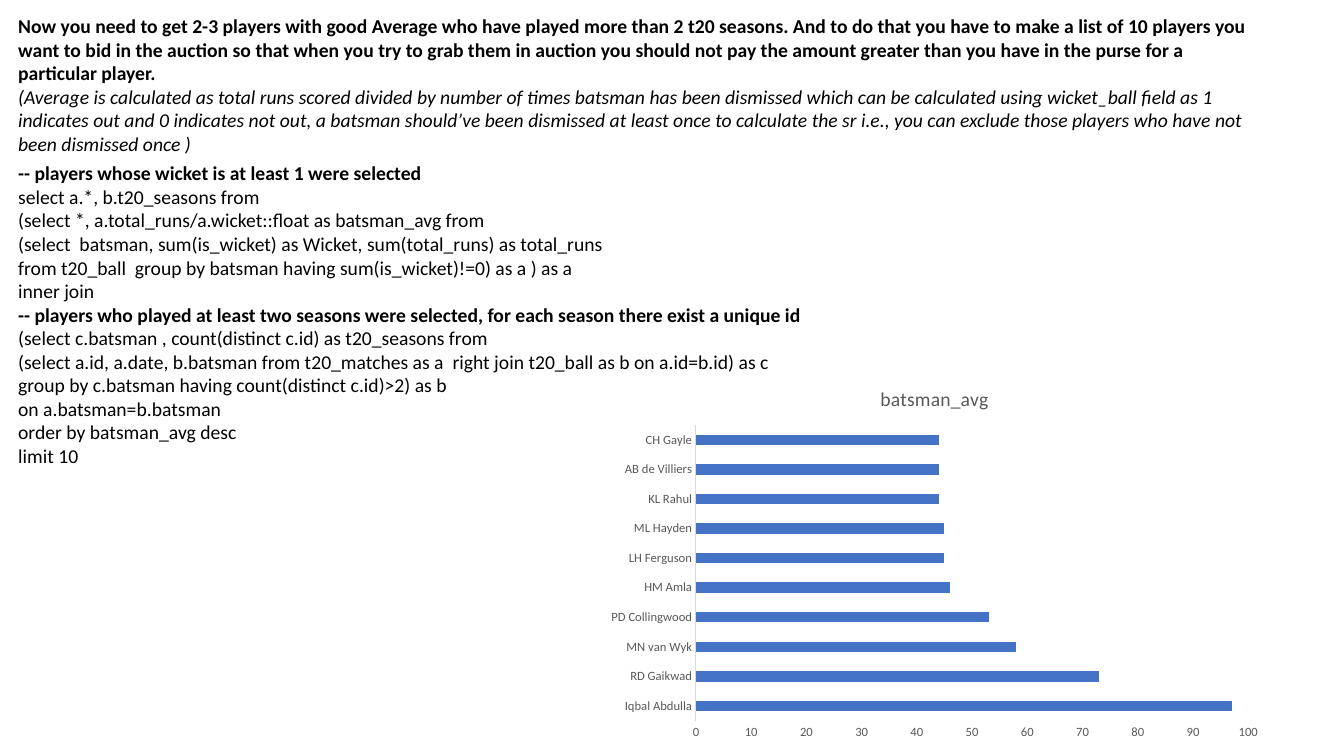
from dataclasses import dataclass

from lxml import etree
from pptx import Presentation
from pptx import util as u
from pptx.chart.data import CategoryChartData
from pptx.dml.color import RGBColor
from pptx.enum import chart as ch
from pptx.enum import text as t
from pptx.oxml.ns import qn


@dataclass(frozen=True)
class Theme:
    font: str = "Calibri"
    ink: RGBColor = RGBColor(0, 0, 0)
    label: RGBColor = RGBColor(0x59, 0x59, 0x59)
    rule: RGBColor = RGBColor(0xD9, 0xD9, 0xD9)
    bar: RGBColor = RGBColor(0x44, 0x72, 0xC4)
    text_size: int = 14
    axis_size: int = 9
    chart_size: int = 10


THEME = Theme()

TASK = [
    ("Now you need to get 2-3 players with good Average who have played more than "
     "2 t20 seasons. And to do that you have to make a list of 10 players you want "
     "to bid in the auction so that when you try to grab them in auction you should "
     "not pay the amount greater than you have in the purse for a particular player.",
     {"bold": True}),
    ("(Average is calculated as total runs scored divided by number of times batsman "
     "has been dismissed which can be calculated using wicket_ball field as 1 "
     "indicates out and 0 indicates not out, a batsman should’ve been dismissed at "
     "least once to calculate the sr i.e., you can exclude those players who have "
     "not been dismissed once )",
     {"bold": False, "italic": True}),
]

QUERY = """-- players whose wicket is at least 1 were selected
select a.*, b.t20_seasons from
(select *, a.total_runs/a.wicket::float as batsman_avg from
(select  batsman, sum(is_wicket) as Wicket, sum(total_runs) as total_runs
from t20_ball  group by batsman having sum(is_wicket)!=0) as a ) as a
inner join
-- players who played at least two seasons were selected, for each season there exist a unique id
(select c.batsman , count(distinct c.id) as t20_seasons from
(select a.id, a.date, b.batsman from t20_matches as a  right join t20_ball as b on a.id=b.id) as c
group by c.batsman having count(distinct c.id)>2) as b
on a.batsman=b.batsman
order by batsman_avg desc
limit 10"""

AVERAGES = {
    "Iqbal Abdulla": 97, "RD Gaikwad": 73, "MN van Wyk": 58, "PD Collingwood": 53,
    "HM Amla": 46, "LH Ferguson": 45, "ML Hayden": 45, "KL Rahul": 44,
    "AB de Villiers": 44, "CH Gayle": 44,
}


def apply(target, values):
    for name, value in values.items():
        setattr(target, name, value)


def style_font(font, size, color, **extra):
    apply(font, {"name": THEME.font, "size": u.Pt(size), **extra})
    font.color.rgb = color


def fill_placeholder(holder, box, lines):
    """Place a placeholder and write (text, font values) lines without bullets."""
    apply(holder, dict(zip(("left", "top", "width", "height"), map(u.Inches, box))))
    frame = holder.text_frame
    apply(frame, {"word_wrap": True, "auto_size": t.MSO_AUTO_SIZE.NONE,
                  "vertical_anchor": t.MSO_ANCHOR.TOP})
    frame.text = "\n".join(line for line, _ in lines)
    for paragraph, (_, values) in zip(frame.paragraphs, lines):
        apply(paragraph, {"alignment": t.PP_ALIGN.LEFT, "line_spacing": 1.0,
                          "space_before": u.Pt(0), "space_after": u.Pt(0)})
        props = paragraph._p.get_or_add_pPr()
        props.set("marL", "0")
        props.set("indent", "0")
        etree.SubElement(props, qn("a:buNone"))
        style_font(paragraph.runs[0].font, THEME.text_size, THEME.ink, **values)


def style_axis(axis):
    apply(axis, {"major_tick_mark": ch.XL_TICK_MARK.NONE,
                 "minor_tick_mark": ch.XL_TICK_MARK.NONE,
                 "has_major_gridlines": False})
    style_font(axis.tick_labels.font, THEME.axis_size, THEME.label)


def add_average_chart(slide, box):
    averages = CategoryChartData()
    averages.categories = list(AVERAGES)
    averages.add_series("batsman_avg", list(AVERAGES.values()))
    chart = slide.shapes.add_chart(ch.XL_CHART_TYPE.BAR_CLUSTERED,
                                   *map(u.Inches, box), averages).chart
    style_font(chart.font, THEME.chart_size, THEME.ink)
    apply(chart, {"has_legend": False, "has_title": True})

    # Chart heading
    heading = chart.chart_title
    heading.include_in_layout = False
    heading.text_frame.text = "batsman_avg"
    style_font(heading.text_frame.paragraphs[0].runs[0].font,
               THEME.text_size, THEME.label, bold=False)

    # Axes
    players, scale = chart.category_axis, chart.value_axis
    for axis in (players, scale):
        style_axis(axis)
    players.format.line.color.rgb = THEME.rule
    players.format.line.width = u.Pt(0.75)
    scale.format.line.fill.background()
    apply(scale, {"minimum_scale": 0, "maximum_scale": 100, "major_unit": 10})

    # Bars
    plot = chart.plots[0]
    apply(plot, {"gap_width": 182, "vary_by_categories": False})
    bars = plot.series[0].format.fill
    bars.solid()
    bars.fore_color.rgb = THEME.bar


def main():
    deck = Presentation()
    apply(deck, {"slide_width": u.Inches(13.33), "slide_height": u.Inches(7.5)})
    slide = deck.slides.add_slide(deck.slide_layouts[1])
    task, query = slide.placeholders

    # Task and the query that answers it; SQL comments are bold
    fill_placeholder(task, (0.08, 0.09, 12.53, 1.75), TASK)
    fill_placeholder(query, (0.08, 1.55, 12.14, 3.16),
                     [(line, {"bold": line.startswith("--")})
                      for line in QUERY.splitlines()])

    # Result of the query
    add_average_chart(slide, (5.93, 3.66, 6.68, 3.75))
    deck.save("out.pptx")


if __name__ == "__main__":
    main()
